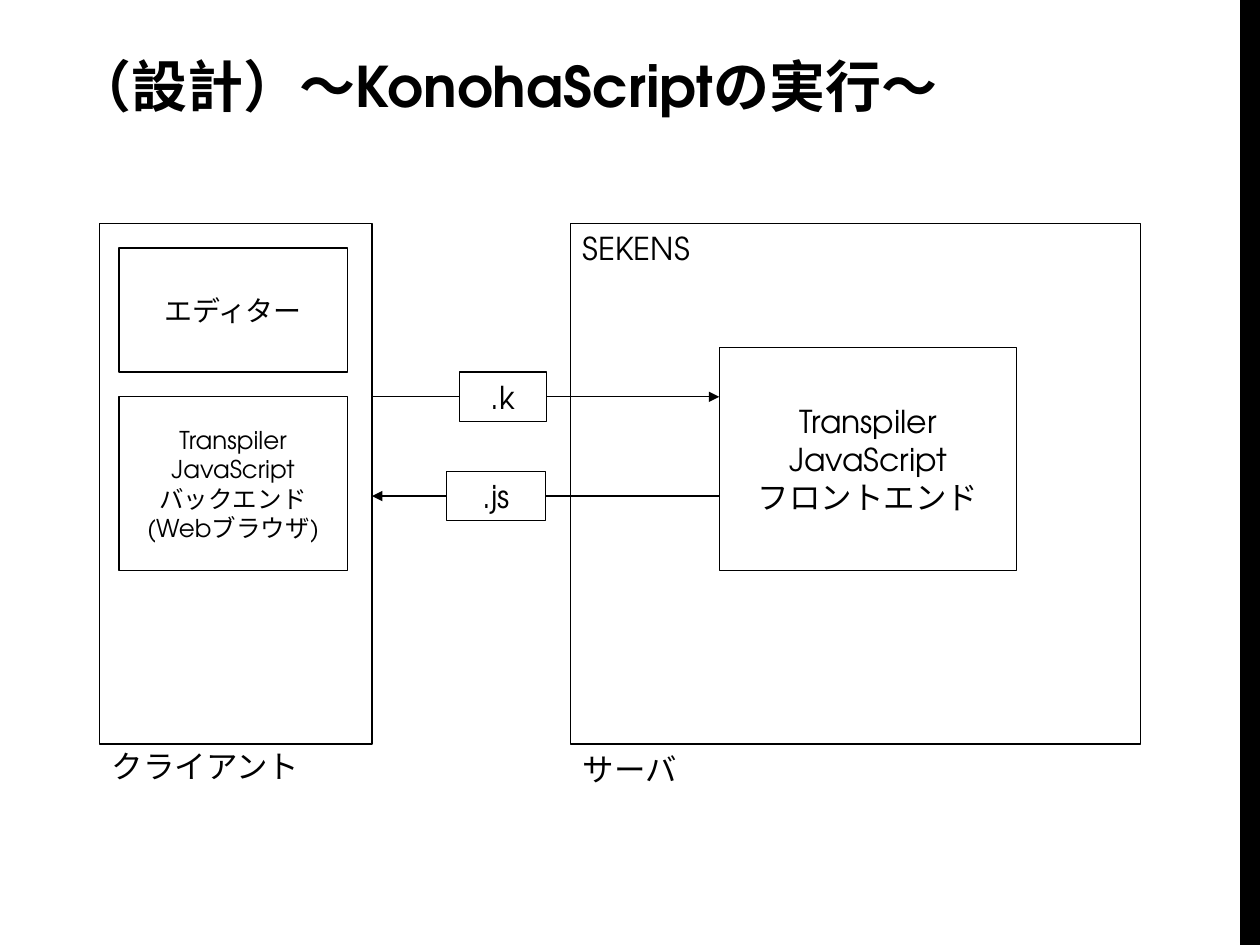
from lxml import etree
from pptx import Presentation
from pptx import util as u
from pptx.dml.color import RGBColor
from pptx.enum import shapes, text
from pptx.oxml.ns import qn

FONT = "TeX Gyre Adventor"
COLORS = {"ink": "000000", "paper": "FFFFFF"}
TITLE = "（設計）～KonohaScriptの実行～"

# Places are left, top, width, height in cm.
SIDE_BARS = [(25, 0, 0.4, 3.81), (25, 3.81, 0.4, 15.24)]
CLIENT = (2, 4.5, 5.5, 10.5)
SERVER = (11.5, 4.5, 11.5, 10.5)
LABELS = [
    ("SEKENS", (11.5, 4.5, 7.3, 1.1)),
    ("クライアント", (2, 14.93, 4.8, 1.02)),
    ("サーバ", (11.5, 15, 5.67, 1.02)),
]
FRONTEND = (14.5, 7, 6, 4.5)
BOXES = [
    ("Transpiler\nJavaScript\nフロントエンド", FRONTEND, 18),
    ("エディター", (2.4, 5, 4.6, 2.5), 16),
    ("Transpiler\nJavaScript\nバックエンド\n(Webブラウザ)", (2.4, 8, 4.6, 3.5), 14),
]
FILES = [(".k", (9.27, 7.5, 1.75, 1)), (".js", (9, 9.5, 2, 1))]


def rgb(name):
    return RGBColor.from_string(COLORS[name])


def write(sp, content, size=18, bold=False, align=text.PP_ALIGN.LEFT,
          anchor=text.MSO_ANCHOR.TOP):
    tf = sp.text_frame
    tf.word_wrap = True
    tf.auto_size = text.MSO_AUTO_SIZE.NONE
    tf.vertical_anchor = anchor
    for i, line in enumerate(content.split("\n")):
        p = tf.paragraphs[0] if i == 0 else tf.add_paragraph()
        p.alignment = align
        r = p.add_run()
        r.text = line
        r.font.name, r.font.size, r.font.bold = FONT, u.Pt(size), bold
        r.font.color.rgb = rgb("ink")


def add_box(s, place, fill="paper", outline=True):
    sp = s.shapes.add_shape(shapes.MSO_SHAPE.RECTANGLE, *map(u.Cm, place))
    sp.shadow.inherit = False
    if fill:
        sp.fill.solid()
        sp.fill.fore_color.rgb = rgb(fill)
    else:
        sp.fill.background()
    if outline:
        sp.line.color.rgb = rgb("ink")
        sp.line.width = u.Pt(0.75)
    else:
        sp.line.fill.background()
    return sp


def add_text_box(s, content, place, size=18):
    write(add_box(s, place), content, size=size, align=text.PP_ALIGN.CENTER,
          anchor=text.MSO_ANCHOR.MIDDLE)


def add_arrow(s, x1, x2, y):
    line = s.shapes.add_connector(shapes.MSO_CONNECTOR.STRAIGHT,
                                  *map(u.Cm, (x1, y, x2, y)))
    line.line.color.rgb = rgb("ink")
    line.line.width = u.Pt(0.75)
    etree.SubElement(line.line._get_or_add_ln(), qn("a:tailEnd"), type="triangle")
    etree.SubElement(line._element.spPr, qn("a:effectLst"))


def main():
    prs = Presentation()
    prs.slide_width, prs.slide_height = u.Cm(25.4), u.Cm(19.05)
    s = prs.slides.add_slide(prs.slide_layouts[5])

    title = s.shapes.title
    title.left, title.top, title.width, title.height = map(
        u.Cm, (1.27, 0.61, 19.38, 1.78))
    title.text_frame.margin_top = title.text_frame.margin_bottom = 0
    write(title, TITLE, size=32, bold=True, anchor=text.MSO_ANCHOR.BOTTOM)

    for place in SIDE_BARS:
        add_box(s, place, fill="ink", outline=False)
    for content, place in LABELS:
        write(add_box(s, place, outline=False), content)
    add_box(s, CLIENT)
    add_box(s, SERVER, fill=None)
    for content, place, size in BOXES:
        add_text_box(s, content, place, size)

    # The source file goes to the server and the compiled one comes back.
    client_edge, server_edge = CLIENT[0] + CLIENT[2], FRONTEND[0]
    ends = [(client_edge, server_edge), (server_edge, client_edge)]
    for (content, place), (start, end) in zip(FILES, ends):
        add_arrow(s, start, end, place[1] + place[3] / 2)
        add_text_box(s, content, place)

    prs.save("out.pptx")


if __name__ == "__main__":
    main()
